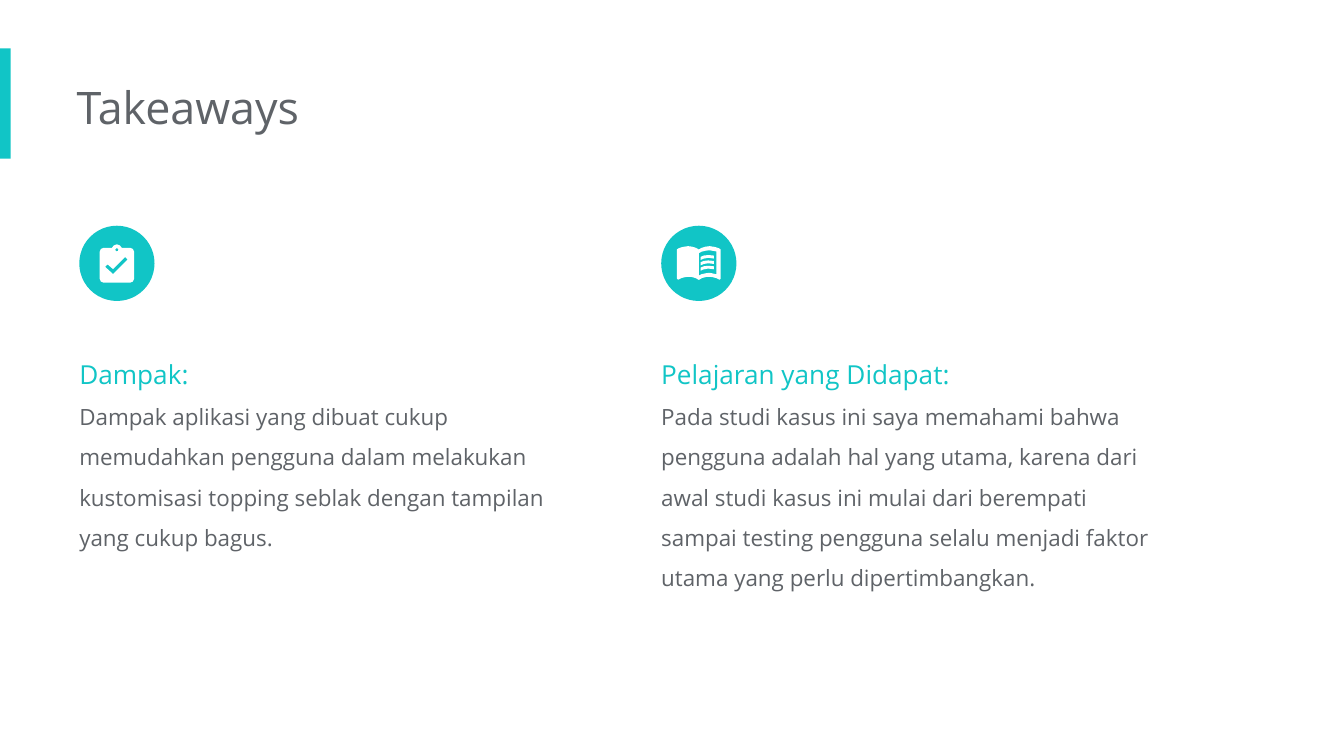
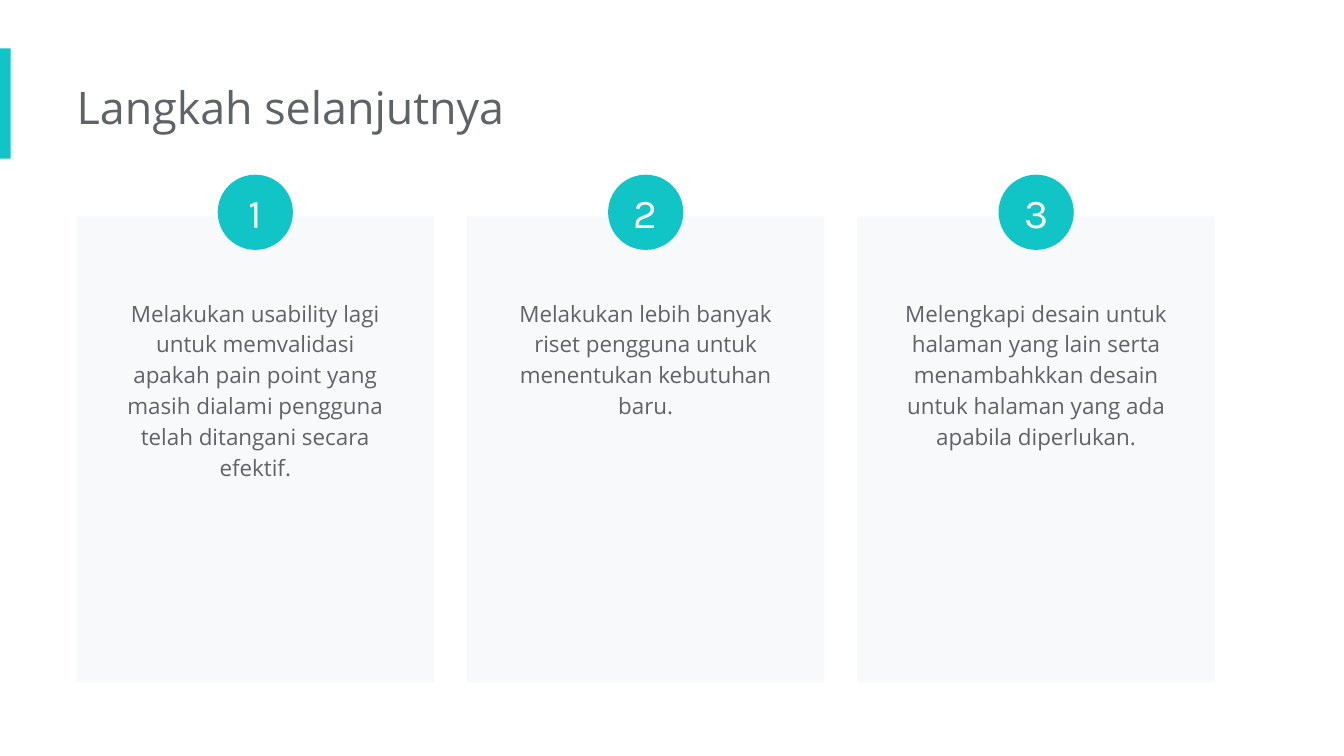
from math import cos, pi, sin
from pptx import Presentation
from pptx.dml.color import RGBColor
from pptx.enum.shapes import MSO_SHAPE
from pptx.enum.text import MSO_ANCHOR, PP_ALIGN
from pptx.util import Inches, Pt

TEAL = RGBColor(0x11, 0xC5, 0xC6)
GREY = RGBColor(0x5F, 0x63, 0x68)
PALE = RGBColor(0xF8, 0xF9, 0xFA)
WHITE = RGBColor(0xFF, 0xFF, 0xFF)
DISC = 0.56


def paint(shape, color):
    """Give the shape a flat fill with no line or shadow."""
    shape.fill.solid()
    shape.fill.fore_color.rgb = color
    shape.line.fill.background()
    shape.shadow.inherit = False
    return shape


def write(shape, parts, space=1.0, align=PP_ALIGN.LEFT, left=0, pad=0.1):
    """Fill the shape with one paragraph per (text, size, font, color)."""
    frame = shape.text_frame
    frame.word_wrap = True
    frame.margin_left = Inches(left)
    frame.margin_top = frame.margin_right = frame.margin_bottom = Inches(pad)
    frame.text = "\n".join(part[0] for part in parts)
    for para, (_, size, font, color) in zip(frame.paragraphs, parts):
        para.alignment = align
        para.line_spacing = space
        for run in para.runs:
            run.font.size = Pt(size)
            run.font.name = font
            run.font.color.rgb = color


deck = Presentation()
deck.slide_width = Inches(10)
deck.slide_height = Inches(10) * 9 // 16

# Shared side band and title
pages = []
for title in ("Takeaways", "Langkah selanjutnya"):
    shapes = deck.slides.add_slide(deck.slide_layouts[6]).shapes
    paint(shapes.add_shape(MSO_SHAPE.RECTANGLE, 0, Inches(0.36), Inches(0.08), Inches(0.82)), TEAL)
    box = shapes.add_textbox(Inches(0.57), Inches(0.49), Inches(5.39), Inches(0.61))
    write(box, [(title, 24, "Open Sans", GREY)])
    pages.append(shapes)
lessons, steps = pages

# Takeaways: two columns
columns = [
    (0.59, 1.77, "Dampak:",
     "Dampak aplikasi yang dibuat cukup memudahkan pengguna dalam melakukan "
     "kustomisasi topping seblak dengan tampilan yang cukup bagus."),
    (4.92, 2.07, "Pelajaran yang Didapat:",
     "Pada studi kasus ini saya memahami bahwa pengguna adalah hal yang utama, "
     "karena dari awal studi kasus ini mulai dari berempati sampai testing "
     "pengguna selalu menjadi faktor utama yang perlu dipertimbangkan."),
]
for left, height, head, body in columns:
    box = lessons.add_textbox(Inches(left), Inches(2.45), Inches(3.77), Inches(height))
    write(box, [(head, 14, "Open Sans", TEAL), (body, 12, "Open Sans", GREY)], 1.5)
    paint(lessons.add_shape(MSO_SHAPE.OVAL, Inches(left), Inches(1.68), Inches(DISC), Inches(DISC)), TEAL)

# Icon outlines in thousandths of an inch; left halves are mirrored
board = [(870, 1818), (847, 1827), (833, 1845), (770, 1845), (751, 1853), (742, 1873),
         (742, 2075), (751, 2095), (770, 2103), (870, 2103)]
board += [(1740 - x, y) for x, y in reversed(board)]
hole = [(870 + 11 * cos(k * pi / 6), 1859 + 11 * sin(k * pi / 6)) for k in range(12)]
tick = [(842, 2040), (782, 1985), (800, 1967), (842, 2003), (932, 1913), (950, 1932)]

book = [(5200, 1857), (5180, 1845), (5150, 1836), (5120, 1832), (5080, 1838), (5050, 1848),
        (5037, 1857), (5037, 2073), (5046, 2082), (5070, 2070), (5100, 2062),
        (5140, 2060), (5175, 2069), (5200, 2083)]
book += [(10400 - x, y) for x, y in reversed(book)]
page = [(5200, 1885), (5220, 1874), (5250, 1866), (5280, 1863), (5330, 1871),
        (5330, 2041), (5280, 2030), (5250, 2034), (5220, 2041), (5200, 2051)]
rule = [(5213, 14), (5235, 4), (5270, 0), (5312, 4), (5312, 26), (5270, 21), (5235, 27), (5213, 37)]
rules = [[[(x, top + y) for x, y in rule]] for top in (1898, 1938, 1978)]

for icon in [[board, hole, tick], [book, page], *rules]:
    pen = lessons.build_freeform(*icon[0][0], scale=Inches(1) / 1000)
    pen.add_line_segments(icon[0][1:])
    for ring in icon[1:]:
        pen.move_to(*ring[0])
        pen.add_line_segments(ring[1:])
    paint(pen.convert_to_shape(), WHITE)

# Next steps: three numbered cards
tasks = [
    "Melakukan usability lagi untuk memvalidasi apakah pain point yang masih "
    "dialami pengguna telah ditangani secara efektif.",
    "Melakukan lebih banyak riset pengguna untuk menentukan kebutuhan baru.",
    "Melengkapi desain untuk halaman yang lain serta menambahkkan desain "
    "untuk halaman yang ada apabila diperlukan.",
]
wide = 2.66
for i, task in enumerate(tasks):
    left = 0.57 + i * 5.81 / 2
    paint(steps.add_shape(MSO_SHAPE.RECTANGLE, Inches(left), Inches(1.61), Inches(wide), Inches(3.47)), PALE)
    box = steps.add_textbox(Inches(left + 0.21), Inches(2.1), Inches(wide - 0.42), Inches(1.6))
    write(box, [(task, 12, "Open Sans", GREY)], 1.15, PP_ALIGN.CENTER, 0.1)
    disc = steps.add_shape(MSO_SHAPE.OVAL, Inches(left + (wide - DISC) / 2), Inches(1.3),
                           Inches(DISC), Inches(DISC))
    paint(disc, TEAL)
    write(disc, [(str(i + 1), 22, "Karla", WHITE)], align=PP_ALIGN.CENTER, pad=0)
    disc.text_frame.vertical_anchor = MSO_ANCHOR.MIDDLE

deck.save("out.pptx")
